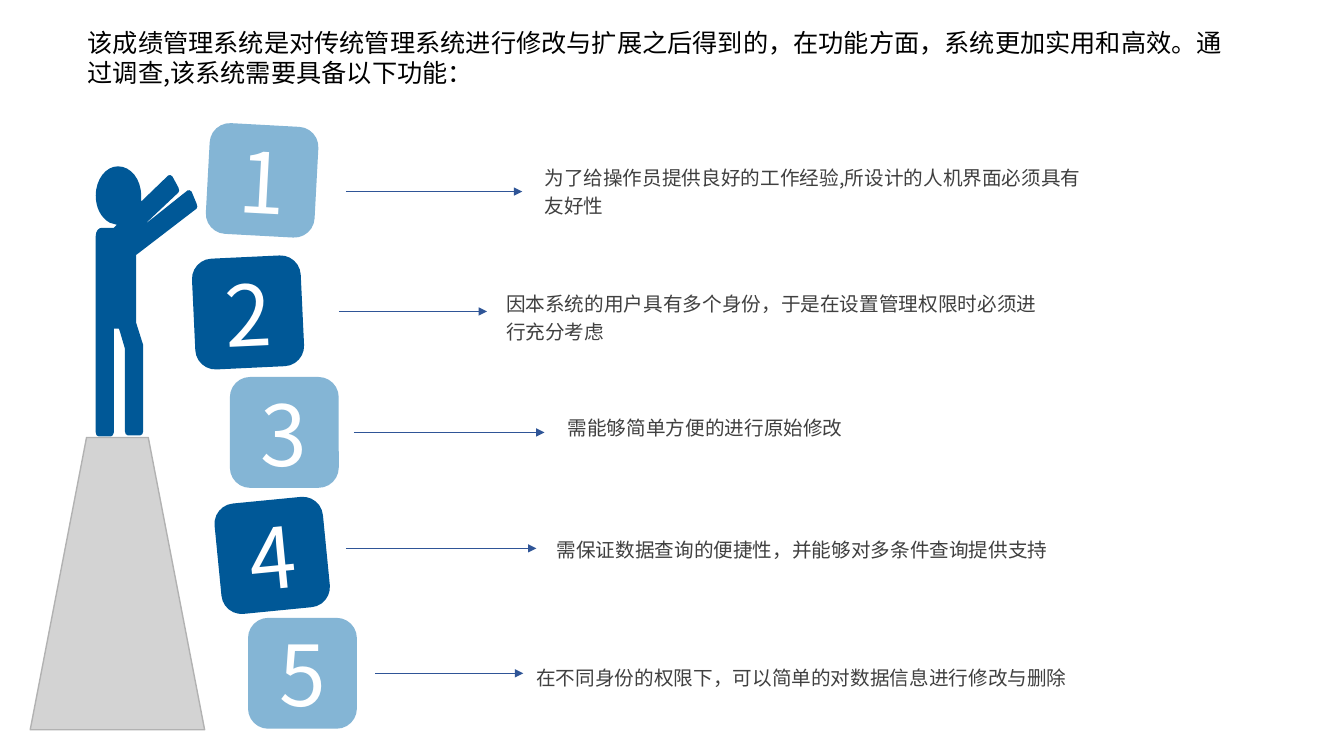
from dataclasses import dataclass

from lxml import etree
from pptx import Presentation
from pptx.dml.color import RGBColor
from pptx.enum.shapes import MSO_CONNECTOR, MSO_SHAPE
from pptx.enum.text import MSO_ANCHOR, MSO_AUTO_SIZE, PP_ALIGN
from pptx.oxml.ns import qn
from pptx.util import Inches, Pt

STRAIGHT = MSO_CONNECTOR.STRAIGHT
ROUNDED, TRAPEZOID = MSO_SHAPE.ROUNDED_RECTANGLE, MSO_SHAPE.TRAPEZOID
TOP, MIDDLE = MSO_ANCHOR.TOP, MSO_ANCHOR.MIDDLE
LEFT, CENTER = PP_ALIGN.LEFT, PP_ALIGN.CENTER
GROW = MSO_AUTO_SIZE.SHAPE_TO_FIT_TEXT

FONT = "Noto Sans CJK SC"
DARK, LIGHT, ARROW = "005897", "84B5D5", "2F5597"
WHITE, BLACK, GRAY = "FFFFFF", "000000", "404040"
PEDESTAL_FILL, PEDESTAL_LINE = "D3D3D3", "B2B2B2"
BLOCK_W, BLOCK_H = 1.08, 1.1

HEADING = (
    "该成绩管理系统是对传统管理系统进行修改与扩展之后得到的，在功能方面，"
    "系统更加实用和高效。通过调查,该系统需要具备以下功能："
)


@dataclass
class Feature:
    block: tuple[float, float]
    rotation: float
    arrow: tuple[float, float, float]
    note: tuple[float, float, float]
    text: str


FEATURES = [
    Feature((2.06, 1.24), 3.1, (3.43, 5.18, 1.9), (5.4, 1.6, 5.36),
            "为了给操作员提供良好的工作经验,所设计的人机界面必须具有友好性"),
    Feature((1.92, 2.55), -2.7, (3.36, 4.83, 3.09), (5.02, 2.85, 5.3),
            "因本系统的用户具有多个身份，于是在设置管理权限时必须进行充分考虑"),
    Feature((2.28, 3.74), 0, (3.51, 5.4, 4.29), (5.63, 4.08, 5.36),
            "需能够简单方便的进行原始修改"),
    Feature((2.16, 4.96), -5.6, (3.43, 5.32, 5.44), (5.52, 5.29, 5.36),
            "需保证数据查询的便捷性，并能够对多条件查询提供支持"),
    Feature((2.46, 6.13), 0, (3.72, 5.19, 6.68), (5.32, 6.56, 5.36),
            "在不同身份的权限下，可以简单的对数据信息进行修改与删除"),
]

FIGURE_START = (1.17, 1.65)
FIGURE_EDGES = [
    (1.3, 1.65, 1.4, 1.78, 1.4, 1.94),
    (1.4, 1.96, 1.4, 1.98, 1.4, 2), (1.39, 2.01), (1.67, 1.74),
    (1.68, 1.73, 1.7, 1.74, 1.71, 1.75), (1.77, 1.86),
    (1.78, 1.88, 1.78, 1.9, 1.77, 1.91), (1.42, 2.24), (1.86, 1.89),
    (1.87, 1.88, 1.89, 1.89, 1.9, 1.9), (1.95, 2.02),
    (1.96, 2.04, 1.96, 2.06, 1.95, 2.07), (1.35, 2.53), (1.35, 3.17),
    (1.35, 3.19), (1.35, 3.2), (1.41, 3.39), (1.41, 3.39),
    (1.42, 3.4, 1.42, 3.41, 1.42, 3.42), (1.42, 4.28),
    (1.42, 4.3, 1.41, 4.32, 1.39, 4.32), (1.27, 4.32),
    (1.25, 4.32, 1.24, 4.3, 1.24, 4.28), (1.24, 3.46), (1.19, 3.29),
    (1.18, 3.26), (1.13, 3.26), (1.13, 4.29),
    (1.13, 4.31, 1.11, 4.33, 1.1, 4.33), (0.98, 4.33),
    (0.96, 4.33, 0.95, 4.31, 0.95, 4.29), (0.95, 3.23), (0.95, 3.21),
    (0.95, 3.21), (0.95, 3.2, 0.95, 3.19, 0.95, 3.17), (0.95, 2.34),
    (0.95, 2.29, 0.98, 2.26, 1.01, 2.26), (1.13, 2.26), (1.16, 2.23),
    (1.09, 2.21), (1, 2.16, 0.95, 2.06, 0.95, 1.94),
    (0.95, 1.78, 1.05, 1.65, 1.17, 1.65),
]


def rgb(value: str) -> RGBColor:
    return RGBColor.from_string(value)


def write(tf, text: str, size: float, color: str, align=LEFT, anchor=TOP) -> None:
    tf.word_wrap = True
    tf.vertical_anchor = anchor
    p = tf.paragraphs[0]
    p.text = text
    p.alignment = align
    p.font.size = Pt(size)
    p.font.color.rgb = rgb(color)
    p.font.name = FONT
    defaults = p._p.pPr.find(qn("a:defRPr"))
    etree.SubElement(defaults, qn("a:ea")).set("typeface", FONT)


def paint(sp, fill: str, line: str = "") -> None:
    sp.shadow.inherit = False
    sp.fill.solid()
    sp.fill.fore_color.rgb = rgb(fill)
    if line:
        sp.line.color.rgb = rgb(line)
        sp.line.width = Pt(1)
    else:
        sp.line.fill.background()


def add_arrow(s, x1: float, x2: float, y: float) -> None:
    sp = s.shapes.add_connector(STRAIGHT, Inches(x1), Inches(y), Inches(x2), Inches(y))
    sp.line.color.rgb = rgb(ARROW)
    sp.line.width = Pt(0.5)
    props = sp._element.spPr
    etree.SubElement(props.find(qn("a:ln")), qn("a:tailEnd")).set("type", "triangle")
    etree.SubElement(props, qn("a:effectLst"))


def add_feature(s, number: int, feature: Feature) -> None:
    x, y = feature.block
    sp = s.shapes.add_shape(ROUNDED, Inches(x), Inches(y), Inches(BLOCK_W), Inches(BLOCK_H))
    sp.adjustments[0] = 0.186
    sp.rotation = feature.rotation
    paint(sp, LIGHT if number % 2 else DARK)
    write(sp.text_frame, str(number), 60, WHITE, CENTER, MIDDLE)

    add_arrow(s, *feature.arrow)

    x, y, width = feature.note
    tf = s.shapes.add_textbox(Inches(x), Inches(y), Inches(width), Inches(0.6)).text_frame
    tf.margin_left = tf.margin_right = tf.margin_top = tf.margin_bottom = 0
    write(tf, feature.text, 14, GRAY)
    tf.paragraphs[0].line_spacing = 1.2


def bend_edges(sp, edges: list[tuple]) -> None:
    segments = list(sp._element.iter(qn("a:lnTo")))
    for segment, edge in zip(segments, edges):
        if len(edge) == 2:
            continue
        curve = etree.Element(qn("a:cubicBezTo"))
        for x, y in zip(edge[::2], edge[1::2]):
            pt = etree.SubElement(curve, qn("a:pt"))
            pt.set("x", str(Inches(x) - sp.left))
            pt.set("y", str(Inches(y) - sp.top))
        segment.getparent().replace(segment, curve)


def add_figure(s) -> None:
    builder = s.shapes.build_freeform(*map(Inches, FIGURE_START))
    corners = [(Inches(edge[-2]), Inches(edge[-1])) for edge in FIGURE_EDGES]
    builder.add_line_segments(corners, close=True)
    sp = builder.convert_to_shape()
    bend_edges(sp, FIGURE_EDGES)
    paint(sp, DARK)

    sp = s.shapes.add_shape(TRAPEZOID, Inches(0.3), Inches(4.34), Inches(1.73), Inches(2.9))
    sp.adjustments[0] = 0.323
    paint(sp, PEDESTAL_FILL, PEDESTAL_LINE)


def main() -> None:
    prs = Presentation()
    prs.slide_width, prs.slide_height = Inches(13.33), Inches(7.5)
    s = prs.slides.add_slide(prs.slide_layouts[5])
    title = s.shapes.title
    title.left, title.top = Inches(0.77), Inches(0.22)
    title.width, title.height = Inches(11.63), Inches(0.71)
    write(title.text_frame, HEADING, 18, BLACK)
    title.text_frame.auto_size = GROW
    add_figure(s)
    for number, feature in enumerate(FEATURES, 1):
        add_feature(s, number, feature)
    prs.save("out.pptx")


if __name__ == "__main__":
    main()
